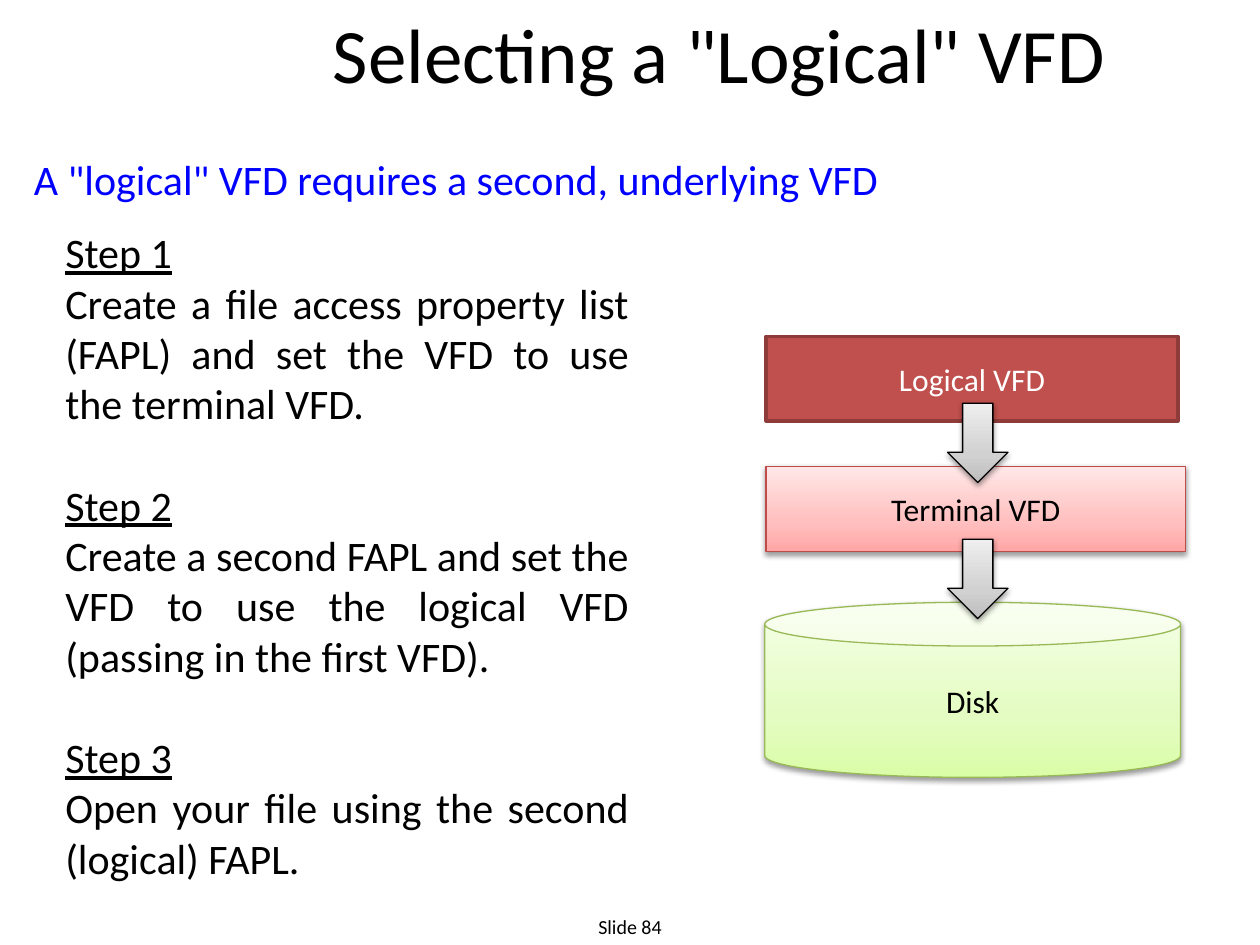
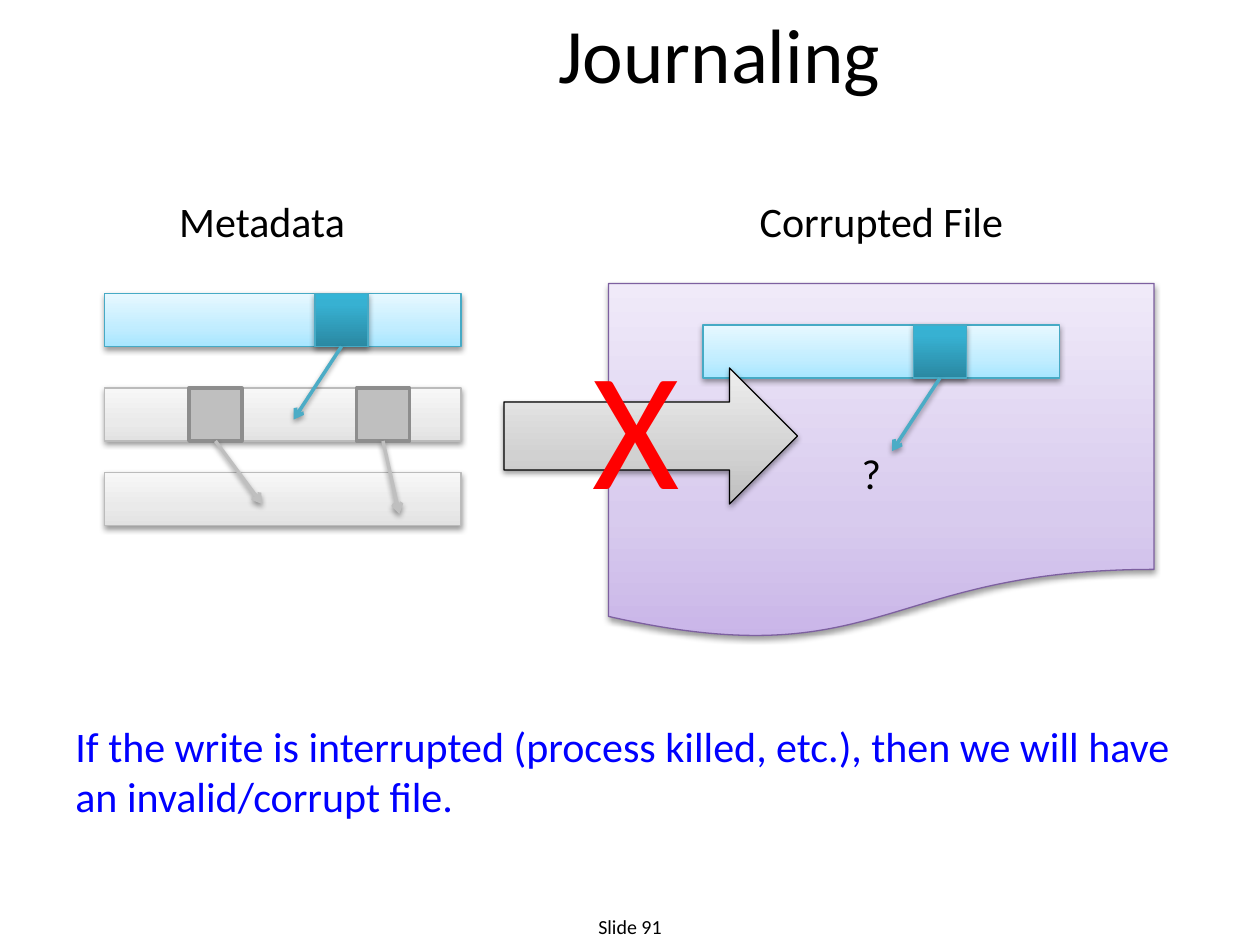
import dataclasses

import lxml.etree
import pptx
import pptx.dml.color
import pptx.enum.dml
import pptx.enum.shapes
import pptx.enum.text
import pptx.oxml.ns
import pptx.util

Inches = pptx.util.Inches
Pt = pptx.util.Pt
qn = pptx.oxml.ns.qn
SHAPES = pptx.enum.shapes.MSO_SHAPE
ALIGN = pptx.enum.text.PP_ALIGN
ANCHOR = pptx.enum.text.MSO_ANCHOR


@dataclasses.dataclass(frozen=True)
class Look:
    """Fill (one colour, or gradient stops from bottom to top), outline and shadow."""
    fill: object
    line: str
    width: float = 0.75
    shadow: bool = True
    text: str = "000000"


@dataclasses.dataclass(frozen=True)
class Theme:
    font: str = "Calibri"
    title_size: float = 44
    body_size: float = 24
    label_size: float = 18
    footer_size: float = 11.4
    cross_size: float = 96
    black: str = "000000"
    blue: str = "0000FF"
    red: str = "FF0000"
    gray: str = "BFBFBF"
    teal: str = "4BACC6"
    logical: Look = Look("C0504D", "8E3B39", 2, False, "FFFFFF")
    terminal: Look = Look(((0, "FFA6A5"), (35, "FFC0BF"), (100, "FFE7E7")), "BF4C48")
    disk: Look = Look(((0, "DAFDA7"), (35, "E4FCC2"), (100, "F5FFE7")), "98B955")
    arrow: Look = Look(((0, "BDBDBD"), (35, "D1D1D1"), (100, "EEEEEE")), "000000")
    file: Look = Look(((0, "C9B5E8"), (35, "D8CBEE"), (100, "F0EAF9")), "7D60A0")
    gray_bar: Look = Look(((0, "E2E2E2"), (35, "EAEAEA"), (100, "F7F7F7")), "BBBBBB")
    gray_cell: Look = Look("BFBFBF", "8D8D8D", 2, False)
    teal_bar: Look = Look(((0, "A7E6FF"), (35, "C1EDFF"), (100, "E7F8FF")), "46AAC5")
    teal_cell: Look = Look(((0, "2A88A2"), (80, "37B1D2"), (100, "34B4D6")), "46AAC5")


def rgb(value):
    return pptx.dml.color.RGBColor.from_string(value)


def add_color(parent, value):
    return lxml.etree.SubElement(parent, qn("a:srgbClr"), val=value)


def add_shadow(effects):
    shadow = lxml.etree.SubElement(effects, qn("a:outerShdw"), blurRad="40000",
                                   dist="20000", dir="5400000", rotWithShape="0")
    lxml.etree.SubElement(add_color(shadow, "000000"), qn("a:alpha"), val="38000")


class Deck:
    def __init__(self, theme):
        self.theme = theme
        self.presentation = pptx.Presentation()
        self.presentation.slide_width = Inches(10)
        self.presentation.slide_height = Inches(7.5)
        self.slide = None

    def style(self, paragraph, size, color, align):
        paragraph.alignment = align
        paragraph.font.name = self.theme.font
        paragraph.font.size = Pt(size)
        paragraph.font.color.rgb = rgb(color)

    def new_slide(self, title, number):
        title_only = self.presentation.slide_layouts[5]
        self.slide = self.presentation.slides.add_slide(title_only)
        heading = self.slide.shapes.title
        heading.left, heading.top = Inches(1.42), Inches(0)
        heading.width, heading.height = Inches(8.58), Inches(0.83)
        heading.text_frame.text = title
        heading.text_frame.vertical_anchor = ANCHOR.MIDDLE
        heading.text_frame.auto_size = pptx.enum.text.MSO_AUTO_SIZE.NONE
        self.style(heading.text_frame.paragraphs[0], self.theme.title_size,
                   self.theme.black, ALIGN.CENTER)
        footer = self.text(f"Slide {number}", 4, 7.25, 2, 0.25,
                           size=self.theme.footer_size, align=ALIGN.CENTER)
        footer.paragraphs[0].line_spacing = 0.8

    def text(self, text, left, top, width, height, size=None, color=None, align=ALIGN.LEFT):
        box = self.slide.shapes.add_textbox(Inches(left), Inches(top),
                                            Inches(width), Inches(height))
        frame = box.text_frame
        frame.word_wrap = True
        frame.text = text
        for paragraph in frame.paragraphs:
            self.style(paragraph, size or self.theme.body_size,
                       color or self.theme.black, align)
        return frame

    def steps(self, steps, left, top, width, height):
        lines = [line for i, step in enumerate(steps, 1) for line in (f"Step {i}", step)]
        frame = self.text("\n".join(lines), left, top, width, height, align=ALIGN.JUSTIFY)
        headings = frame.paragraphs[::2]
        for heading in headings:
            heading.font.underline = True
        for heading in headings[1:]:
            heading.space_before = Pt(29)

    def shape(self, kind, look, left, top, width, height, label=""):
        shape = self.slide.shapes.add_shape(kind, Inches(left), Inches(top),
                                            Inches(width), Inches(height))
        shape.line.color.rgb = rgb(look.line)
        shape.line.width = Pt(look.width)
        if isinstance(look.fill, str):
            shape.fill.solid()
            shape.fill.fore_color.rgb = rgb(look.fill)
        else:
            self.gradient(shape, look.fill)
        shape.shadow.inherit = False
        if look.shadow:
            add_shadow(shape._element.spPr.find(qn("a:effectLst")))
        if label:
            shape.text_frame.text = label
            shape.text_frame.vertical_anchor = ANCHOR.MIDDLE
            self.style(shape.text_frame.paragraphs[0], self.theme.label_size,
                       look.text, ALIGN.CENTER)

    def gradient(self, shape, stops):
        shape.fill.gradient()
        shape.fill.gradient_angle = 90
        stop_list = shape._element.spPr.find(qn("a:gradFill")).find(qn("a:gsLst"))
        for stop in list(stop_list):
            stop_list.remove(stop)
        for position, color in stops:
            stop = lxml.etree.SubElement(stop_list, qn("a:gs"), pos=str(position * 1000))
            add_color(stop, color)

    def pointer(self, color, start_x, start_y, end_x, end_y):
        connector = self.slide.shapes.add_connector(
            pptx.enum.shapes.MSO_CONNECTOR.STRAIGHT, Inches(start_x), Inches(start_y),
            Inches(end_x), Inches(end_y))
        connector.line.color.rgb = rgb(color)
        connector.line.width = Pt(2)
        properties = connector._element.spPr
        lxml.etree.SubElement(properties.find(qn("a:ln")), qn("a:tailEnd"), type="arrow")
        add_shadow(lxml.etree.SubElement(properties, qn("a:effectLst")))

    # Metadata blocks: a bar, and cells that point out of it
    def bar(self, look, left, top):
        self.shape(SHAPES.RECTANGLE, look, left, top, 2.83, 0.42)

    def cell(self, look, color, left, top, shift, drop):
        size = 0.42
        self.shape(SHAPES.RECTANGLE, look, left, top, size, size)
        start_x, start_y = left + size / 2, top + size
        self.pointer(color, start_x, start_y, start_x + shift, start_y + drop)

    def teal_block(self, left, top):
        self.bar(self.theme.teal_bar, left, top)
        self.cell(self.theme.teal_cell, self.theme.teal, left + 1.67, top, -0.38, 0.58)


def logical_vfd_slide(deck):
    theme = deck.theme
    deck.new_slide('Selecting a "Logical" VFD', 84)
    deck.steps([
        "Create a file access property list (FAPL) and set the VFD to use the terminal VFD.",
        "Create a second FAPL and set the VFD to use the logical VFD "
        "(passing in the first VFD).",
        "Open your file using the second (logical) FAPL.",
    ], 0.42, 1.75, 4.67, 5.35)
    deck.text('A "logical" VFD requires a second, underlying VFD',
              0.17, 1.17, 9.42, 0.75, color=theme.blue)

    # Driver stack
    deck.shape(SHAPES.RECTANGLE, theme.logical, 6.08, 2.67, 3.27, 0.67, "Logical VFD")
    deck.shape(SHAPES.CAN, theme.disk, 6.07, 4.78, 3.3, 1.39, "Disk")
    deck.shape(SHAPES.RECTANGLE, theme.terminal, 6.08, 3.7, 3.33, 0.68, "Terminal VFD")
    for top in (3.2, 4.28):
        deck.shape(SHAPES.DOWN_ARROW, theme.arrow, 7.52, top, 0.48, 0.63)


def journaling_slide(deck):
    theme = deck.theme
    deck.new_slide("Journaling", 91)
    deck.shape(SHAPES.FLOWCHART_DOCUMENT, theme.file, 4.83, 2.25, 4.33, 2.83)
    deck.text("Corrupted File", 4.83, 1.5, 4.33, 0.58, align=ALIGN.CENTER)
    deck.text("Metadata", 0.33, 1.5, 3.5, 0.58, align=ALIGN.CENTER)

    # Metadata in memory
    left, middle = 0.83, 3.08
    for top in (3.75, middle):
        deck.bar(theme.gray_bar, left, top)
    for offset, shift, drop in ((0.67, 0.37, 0.5), (2, 0.13, 0.58)):
        deck.cell(theme.gray_cell, theme.gray, left + offset, middle, shift, drop)
    deck.teal_block(left, 2.33)

    # Incomplete metadata in the file
    deck.teal_block(5.58, 2.58)
    deck.text("?", 6.58, 3.5, 0.67, 0.67, align=ALIGN.CENTER)

    # Interrupted write
    deck.shape(SHAPES.RIGHT_ARROW, theme.arrow, 4, 2.92, 2.33, 1.08)
    deck.text("X", 4.17, 2.5, 1.75, 1.75, size=theme.cross_size,
              color=theme.red, align=ALIGN.CENTER)
    deck.text("If the write is interrupted (process killed, etc.), then we will have "
              "an invalid/corrupt file.", 0.5, 5.67, 9.08, 1.33, color=theme.blue)


def main():
    deck = Deck(Theme())
    logical_vfd_slide(deck)
    journaling_slide(deck)
    deck.presentation.save("out.pptx")


if __name__ == "__main__":
    main()
